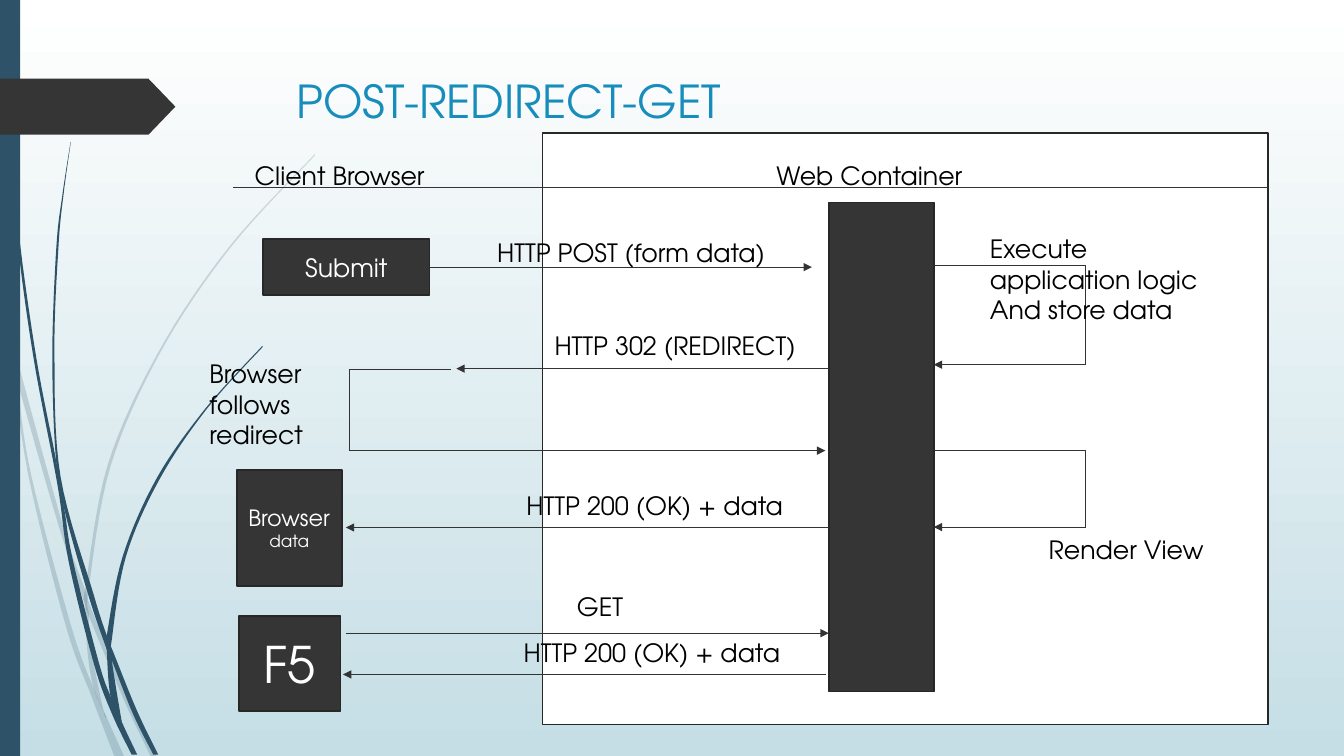
from lxml import etree
from pptx import Presentation
from pptx.dml.color import RGBColor
from pptx.enum.shapes import MSO_CONNECTOR, MSO_SHAPE
from pptx.enum.text import MSO_ANCHOR, PP_ALIGN
from pptx.oxml.ns import qn
from pptx.util import Pt

RECTANGLE, PENTAGON = MSO_SHAPE.RECTANGLE, MSO_SHAPE.PENTAGON
STRAIGHT = MSO_CONNECTOR.STRAIGHT
MIDDLE, TOP = MSO_ANCHOR.MIDDLE, MSO_ANCHOR.TOP
LEFT, CENTER = PP_ALIGN.LEFT, PP_ALIGN.CENTER

COLORS = {"navy": "2E5369", "dark": "353535", "border": "272727", "line": "333333",
          "title": "178DBB", "text": "000000", "white": "FFFFFF", "mist": "C5DEE5"}
FONT = {"name": "TeX Gyre Adventor", "bold": False}
LABEL_HEIGHT = 28.8

PALE_WISPS = [
    ([(0, 215), (7, 248), (12, 271), (42, 376), (60.5, 431), (63, 439), (88.5, 500), (108, 541)],
     [(0, 203), (6.5, 232), (10, 248), (44.5, 374), (61, 422), (66, 437), (91.5, 498), (112, 541)]),
    ([(8, 252), (20, 338), (47, 447), (66, 499), (82, 541)],
     [(8, 252), (12, 271), (22, 338), (50.5, 446), (67, 492), (76, 512), (89, 541)]),
    ([(225, 110), (164, 176), (114, 250), (77, 332), (61, 420), (60.5, 431), (62.5, 465),
      (67, 492), (76, 512)],
     [(225, 111), (165, 176.5), (115, 251), (79, 333), (63.5, 420), (63.5, 439), (65.5, 465),
      (74, 508), (76, 512)]),
]
DARK_WISPS = [
    ([(2, 0), (5, 79), (12, 168), (24, 256), (41, 346), (49, 401), (67, 474), (80, 510), (94, 539)],
     [(3, 0), (6, 79), (13.5, 167), (26, 256), (39.5, 326), (46, 364), (52, 400), (70.5, 473),
      (79, 497.5), (88, 518), (98, 539)]),
    ([(50.4, 101.5), (44.6, 139), (40.3, 176), (37.4, 251), (39.6, 323), (46, 364), (63.4, 426),
      (76.3, 464), (80, 472), (95, 510), (109.5, 539)],
     [(50.6, 101.5), (45.4, 139), (41.8, 176), (38.9, 251), (43.2, 340), (67, 425), (76.3, 454),
      (81.4, 467), (98, 508), (113, 539)]),
    ([(187, 247.5), (147, 291.5), (112.3, 341), (87.8, 397), (76.3, 454), (76.3, 464),
      (79, 497.5), (88, 518)],
     [(188, 247.5), (147.6, 292.3), (113.8, 342.7), (90, 397.5), (80, 456), (80, 472),
      (87, 515.5), (88, 518)]),
]
EXCHANGES = [
    ("HTTP POST (form data)", (101, 0, 217), (60, 333, 24.5)),
    ("HTTP 302 (REDIRECT)", (142, 66, 192), (345, 79, 97)),
    ("HTTP 200 (OK) + data", (122, 180.5, 210), (345, 0, 210.5)),
    ("GET", (158, 252.5, 116), (0, 345, 286)),
    ("HTTP 200 (OK) + data", (120, 285.5, 210), (343, -2, 315.5)),
]


def rgb(name):
    """Return the named colour."""
    return RGBColor.from_string(COLORS[name])


def paint(shape, fill, line=None):
    """Give a shape a flat fill and an optional thin border."""
    shape.shadow.inherit = False
    shape.fill.solid()
    shape.fill.fore_color.rgb = rgb(fill)
    if line:
        shape.line.color.rgb = rgb(line)
        shape.line.width = Pt(1.25)
    else:
        shape.line.fill.background()


def write(frame, lines, color="text", anchor=TOP, alignment=LEFT):
    """Fill a text frame with (text, size) paragraphs."""
    for name, value in {"word_wrap": True, "vertical_anchor": anchor}.items():
        setattr(frame, name, value)
    for index, (text, size) in enumerate(lines):
        paragraph = frame.add_paragraph() if index else frame.paragraphs[0]
        paragraph.alignment = alignment
        run = paragraph.add_run()
        run.text = text
        run.font.color.rgb = rgb(color)
        for name, value in {**FONT, "size": Pt(size)}.items():
            setattr(run.font, name, value)


def label(slide, box, *texts):
    """Add a plain text label."""
    write(slide.shapes.add_textbox(*map(Pt, box)).text_frame, [(text, 18) for text in texts])


def block(slide, box, fill="dark", lines=()):
    """Add a bordered rectangle with optional centred text."""
    shape = slide.shapes.add_shape(RECTANGLE, *map(Pt, box))
    paint(shape, fill, "border")
    if lines:
        shape.text_frame.margin_left = shape.text_frame.margin_right = Pt(3)
        write(shape.text_frame, lines, "white", MIDDLE, CENTER)


def route(slide, points, arrow=True):
    """Join points with straight connectors, the last one ending in an arrowhead."""
    for start, end in zip(points, points[1:]):
        connector = slide.shapes.add_connector(STRAIGHT, *map(Pt, start + end))
        connector.line.color.rgb = rgb("line")
        connector.line.width = Pt(0.75)
        properties = connector._element.spPr
        if arrow and end == points[-1]:
            etree.SubElement(properties.find(qn("a:ln")), qn("a:tailEnd"), type="triangle")
        etree.SubElement(properties, qn("a:effectLst"))


def smooth(points, steps=8):
    """Return a Catmull-Rom curve through the points."""
    padded = [points[0], *points, points[-1]]
    curve = []
    for a, b, c, d in zip(padded, padded[1:], padded[2:], padded[3:]):
        for step in range(steps):
            t = step / steps
            curve.append(tuple(
                q + t * (r - p + t * (2 * p - 5 * q + 4 * r - s + t * (3 * (q - r) + s - p))) / 2
                for p, q, r, s in zip(a, b, c, d)))
    return curve + [points[-1]]


def wisp(slide, origin, edges, opacity):
    """Draw one tapering blade between two curved edges."""
    outer, inner = map(smooth, edges)
    outline = [(Pt(origin[0] + x), Pt(origin[1] + y)) for x, y in outer + inner[::-1]]
    builder = slide.shapes.build_freeform(*outline[0], scale=1.0)
    builder.add_line_segments(outline[1:], close=True)
    shape = builder.convert_to_shape()
    paint(shape, "navy")
    if opacity < 100:
        color = shape._element.spPr.find(qn("a:solidFill"))[0]
        etree.SubElement(color, qn("a:alpha"), val=str(opacity * 1000))


def draw_decoration(slide, box):
    """Draw the background, blades, side bar and page marker."""
    left, top, _, height = box
    fill = slide.background.fill
    fill.gradient()
    fill.gradient_angle = 270
    for stop, name in zip(fill.gradient_stops, ("white", "mist")):
        stop.color.rgb = rgb(name)
    for wisps, opacity in ((PALE_WISPS, 20), (DARK_WISPS, 100)):
        for edges in wisps:
            wisp(slide, (left, top), edges, opacity)
    bar = slide.shapes.add_shape(RECTANGLE, *map(Pt, (left, top, 14.4, height)))
    paint(bar, "navy")
    marker = slide.shapes.add_shape(PENTAGON, *map(Pt, (left, top + 56.2, 125.3, 40)))
    marker.adjustments[0] = 0.48
    paint(marker, "dark")


def draw_title(slide, box):
    """Place the title."""
    title = slide.shapes.title
    for name, value in zip(("left", "top", "width", "height"), box):
        setattr(title, name, Pt(value))
    write(title.text_frame, [("POST-REDIRECT-GET", 32.4)], "title", MIDDLE)


def draw_container(slide, box):
    """Draw the web container with its server bar and internal steps."""
    left, top, width, _ = box
    block(slide, box, "white")
    route(slide, [(left - 221, top + 39), (left + width, top + 39)], arrow=False)
    label(slide, (left + 160, top + 16, 192, LABEL_HEIGHT), "Web Container")
    block(slide, (left + 204.5, top + 49.7, 75, 349.2))
    near, far = left + 279.5, left + 388
    for start, end in ((95, 165.5), (227, 281.5)):
        route(slide, [(near, top + start), (far, top + start),
                      (far, top + end), (near, top + end)])
    label(slide, (left + 312.5, top + 68.4, 178, 72.7),
          "Execute application logic", "And store data")
    label(slide, (left + 354.5, top + 283, 142, LABEL_HEIGHT), "Render View")


def draw_client(slide, box):
    """Draw the client browser column and its redirect loop."""
    left, top = box[:2]
    label(slide, (left + 32.4, top, 150, LABEL_HEIGHT), "Client Browser")
    block(slide, (left + 45.4, top + 59.7, 119, 40.3), lines=[("Submit", 18)])
    block(slide, (left + 26.6, top + 224.6, 75, 83), lines=[("Browser", 16), ("data", 12)])
    block(slide, (left + 28, top + 329, 72.7, 68), lines=[("F5", 36)])
    label(slide, (left, top + 141.8, 101.5, 72.7), "Browser follows redirect")
    route(slide, [(left + 179.5, top + 152.8), (left + 107.5, top + 152.8),
                  (left + 107.5, top + 211), (left + 447, top + 211)])


def draw_exchanges(slide, box):
    """Draw the labelled messages between browser and container."""
    left, top = box[:2]
    for text, (x, y, width), (start, end, height) in EXCHANGES:
        route(slide, [(left + start, top + height), (left + end, top + height)])
        label(slide, (left + x, top + y, width, LABEL_HEIGHT), text)


def main():
    """Build and save the presentation."""
    presentation = Presentation()
    presentation.slide_width, presentation.slide_height = Pt(960), Pt(540)
    slide = presentation.slides.add_slide(presentation.slide_layouts[5])
    draw_decoration(slide, (0, 0, 960, 540))
    draw_container(slide, (387.5, 95, 518.5, 422.6))
    draw_title(slide, (204.5, 49, 702, 46))
    draw_client(slide, (142.5, 110.9, 450, 397))
    draw_exchanges(slide, (247, 166.3, 345, 316))
    presentation.save("out.pptx")


main()
